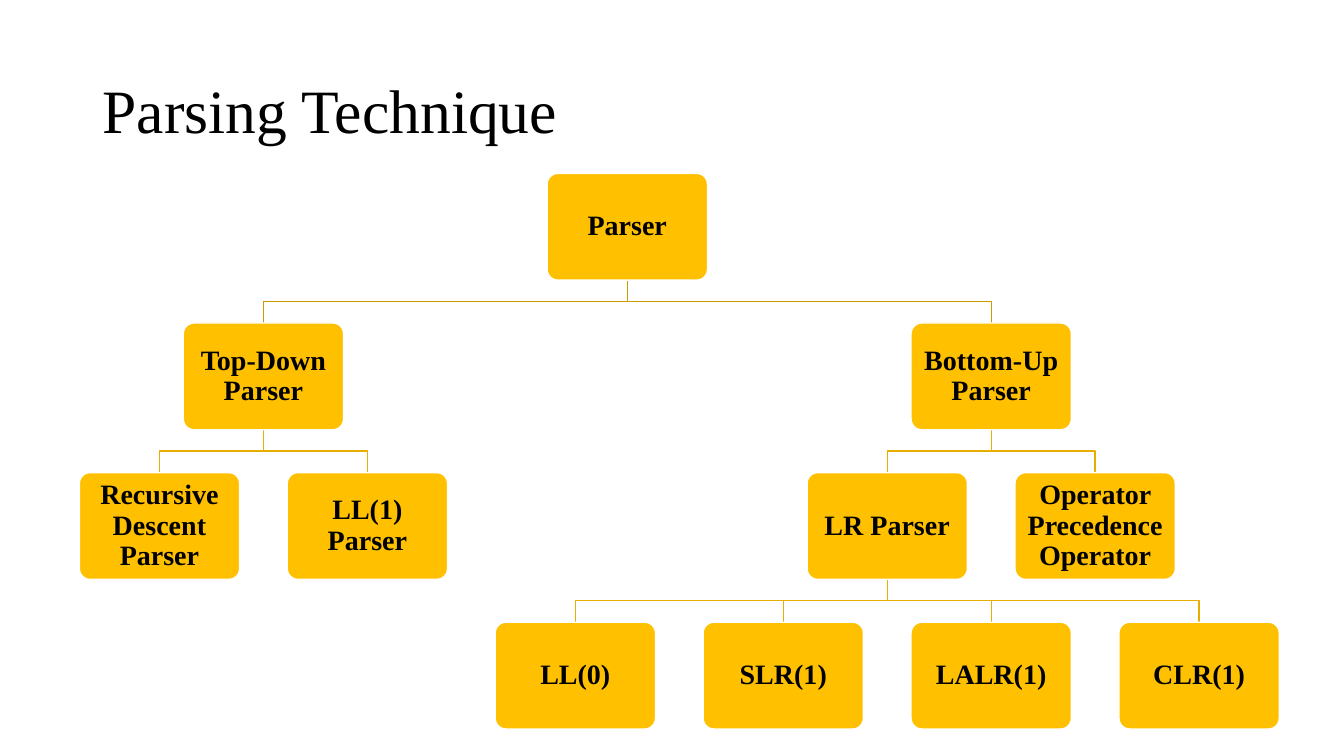
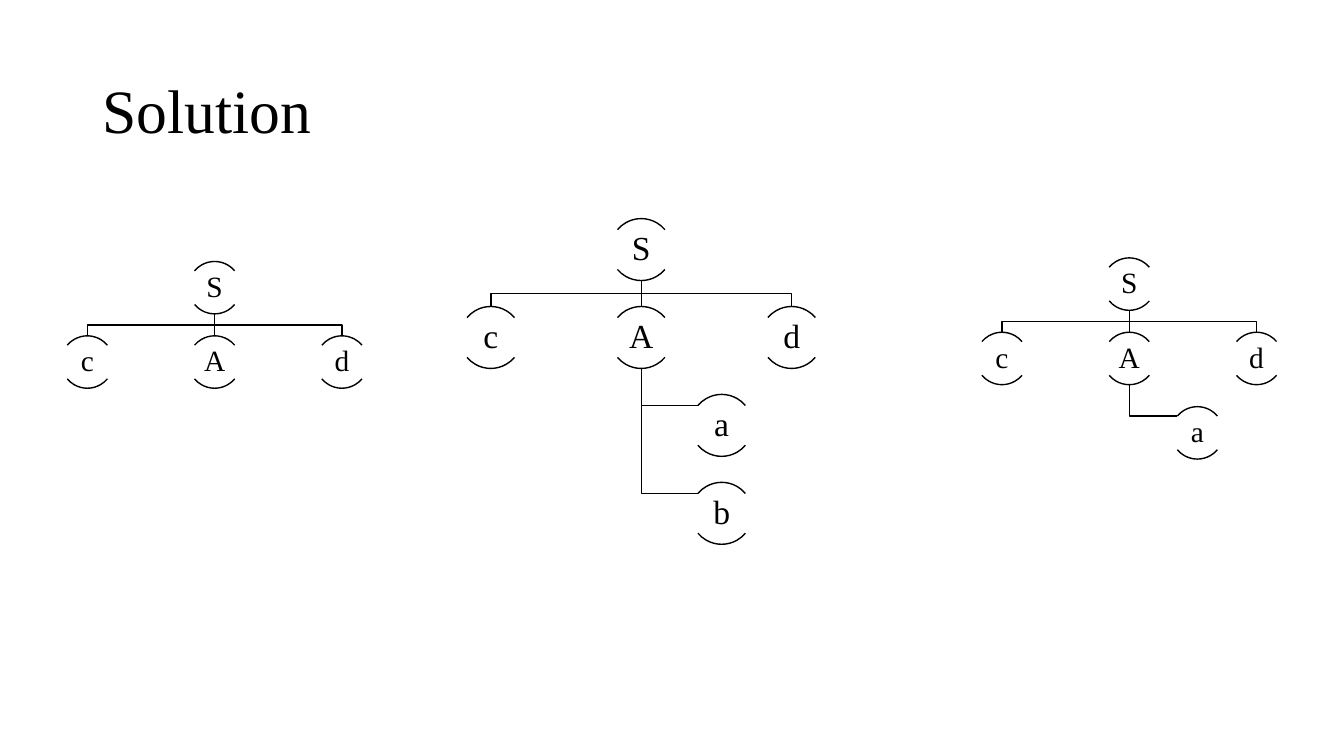
from math import cos, pi, sin

from lxml.etree import SubElement
from pptx import Presentation
from pptx.dml.color import RGBColor
from pptx.enum.shapes import MSO_CONNECTOR as Connector, MSO_SHAPE as Shape
from pptx.enum.text import MSO_ANCHOR as Anchor, MSO_AUTO_SIZE as AutoSize, PP_ALIGN as Align
from pptx.oxml.ns import qn
from pptx.util import Cm, Pt

# Content: all lengths in cm
FONT = "Times New Roman"
COLOURS = {"text": "000000", "box": "FFC000", "border": "FFFFFF",
           "root_link": "CC9A00", "link": "E7AE00"}

# (label, parent, column, row); a column is half the distance between neighbours
PARSERS = [
    ("Parser", None, 4.5, 0),
    ("Top-Down Parser", "Parser", 1, 1),
    ("Bottom-Up Parser", "Parser", 8, 1),
    ("Recursive Descent Parser", "Top-Down Parser", 0, 2),
    ("LL(1) Parser", "Top-Down Parser", 2, 2),
    ("LR Parser", "Bottom-Up Parser", 7, 2),
    ("Operator Precedence Operator", "Bottom-Up Parser", 9, 2),
    ("LL(0)", "LR Parser", 4, 3),
    ("SLR(1)", "LR Parser", 6, 3),
    ("LALR(1)", "LR Parser", 8, 3),
    ("CLR(1)", "LR Parser", 10, 3),
]
FIRST_CENTRE, FIRST_TOP = 4.02, 4.37
COLUMN_STEP, ROW_STEP = 2.62, 3.77
BOX_WIDTH, BOX_HEIGHT = 4.04, 2.69

# Parse trees: root S, children c A d, and the letters that hang from A
PARSE_TREES = [
    {"centre": 5.41, "top": 6.59, "diameter": 1.32, "size": 21, "hanging": ""},
    {"centre": 16.16, "top": 5.51, "diameter": 1.56, "size": 24, "hanging": "ab"},
    {"centre": 28.46, "top": 6.5, "diameter": 1.32, "size": 21, "hanging": "a"},
]
# Distances in a parse tree, as multiples of the node diameter
LEVEL, SPREAD, INDENT = 1.42, 2.43, 1.3
ARC_ANGLES = [(220, 320), (40, 140)]
ARC_END_X = cos(40 * pi / 180) / 2
ARC_END_Y = 0.5 - sin(40 * pi / 180) / 2


def rgb(name):
    return RGBColor.from_string(COLOURS[name])


def write_text(shape, text, size=20, bold=False, align=Align.CENTER, inset=None):
    frame = shape.text_frame
    frame.word_wrap = True
    frame.auto_size = AutoSize.NONE
    frame.vertical_anchor = Anchor.MIDDLE
    if inset is not None:
        frame.margin_left = frame.margin_right = Cm(inset)
        frame.margin_top = frame.margin_bottom = Cm(inset)
    paragraph = frame.paragraphs[0]
    paragraph.text = text
    paragraph.alignment = align
    paragraph.line_spacing = 0.9
    font = paragraph.font
    font.name, font.size, font.bold = FONT, Pt(size), bold
    font.color.rgb = rgb("text")


def outline(shape, colour):
    shape.line.color.rgb = rgb(colour)
    shape.line.width = Pt(1)


def add_titled_slide(presentation, title):
    slide = presentation.slides.add_slide(presentation.slide_layouts[5])
    shape = slide.shapes.title
    shape.left, shape.top, shape.width, shape.height = Cm(2.33), Cm(1.01), Cm(29.21), Cm(3.68)
    write_text(shape, title, size=44, align=Align.LEFT)
    return slide


def add_bent_line(slide, points, colour):
    corners = [(Cm(x), Cm(y)) for x, y in points]
    builder = slide.shapes.build_freeform(*corners[0])
    builder.add_line_segments(corners[1:], close=False)
    shape = builder.convert_to_shape()
    shape.fill.background()
    shape.shadow.inherit = False
    outline(shape, colour)


def add_straight_line(slide, x, top, bottom, colour):
    line = slide.shapes.add_connector(Connector.STRAIGHT, Cm(x), Cm(top), Cm(x), Cm(bottom))
    outline(line, colour)
    SubElement(line._element.spPr, qn("a:effectLst"))


def add_branch(slide, start, end, colour):
    """Link a parent's bottom to a child's top, turning halfway down."""
    (x1, y1), (x2, y2) = start, end
    if x1 == x2:
        add_straight_line(slide, x1, y1, y2, colour)
    else:
        middle = (y1 + y2) / 2
        add_bent_line(slide, [start, (x1, middle), (x2, middle), end], colour)


def add_box(slide, label, centre, top):
    box = slide.shapes.add_shape(Shape.ROUNDED_RECTANGLE, Cm(centre - BOX_WIDTH / 2), Cm(top),
                                 Cm(BOX_WIDTH), Cm(BOX_HEIGHT))
    box.adjustments[0] = 0.1
    box.shadow.inherit = False
    box.fill.solid()
    box.fill.fore_color.rgb = rgb("box")
    outline(box, "border")
    write_text(box, label, bold=True, inset=0.15)


def add_node(slide, letter, centre, top, diameter, size):
    """A letter between an upper and a lower arc."""
    for angles in ARC_ANGLES:
        arc = slide.shapes.add_shape(Shape.ARC, Cm(centre - diameter / 2), Cm(top),
                                     Cm(diameter), Cm(diameter))
        for index, angle in enumerate(angles):
            arc.adjustments[index] = angle * 0.6
        arc.fill.background()
        arc.shadow.inherit = False
        outline(arc, "text")
    label = slide.shapes.add_textbox(Cm(centre - diameter), Cm(top + 0.18 * diameter),
                                     Cm(2 * diameter), Cm(0.64 * diameter))
    write_text(label, letter, size=size, inset=0.03)


def add_parse_tree(slide, centre, top, diameter, size, hanging):
    level = LEVEL * diameter
    nodes = [("S", centre, top)]
    for index, letter in enumerate("cAd"):
        x = centre + (index - 1) * SPREAD * diameter
        nodes.append((letter, x, top + level))
        add_branch(slide, (centre, top + diameter), (x, top + level), "text")
    for index, letter in enumerate(hanging, start=2):
        x, y = centre + INDENT * diameter, top + index * level
        nodes.append((letter, x, y))
        turn = y + ARC_END_Y * diameter
        add_bent_line(slide, [(centre, top + level + diameter), (centre, turn),
                              (x - ARC_END_X * diameter, turn)], "text")
    for letter, x, y in nodes:
        add_node(slide, letter, x, y, diameter, size)


def main():
    presentation = Presentation()
    presentation.slide_width, presentation.slide_height = Cm(33.87), Cm(19.05)

    # Parser family tree
    slide = add_titled_slide(presentation, "Parsing Technique")
    places = {label: (FIRST_CENTRE + column * COLUMN_STEP, FIRST_TOP + row * ROW_STEP)
              for label, _, column, row in PARSERS}
    for label, parent, _, row in PARSERS:
        if parent:
            x, y = places[parent]
            add_branch(slide, (x, y + BOX_HEIGHT), places[label],
                       "root_link" if row == 1 else "link")
    for label, (centre, top) in places.items():
        add_box(slide, label, centre, top)

    # Parse trees
    slide = add_titled_slide(presentation, "Solution")
    for tree in PARSE_TREES:
        add_parse_tree(slide, **tree)

    presentation.save("out.pptx")


if __name__ == "__main__":
    main()
